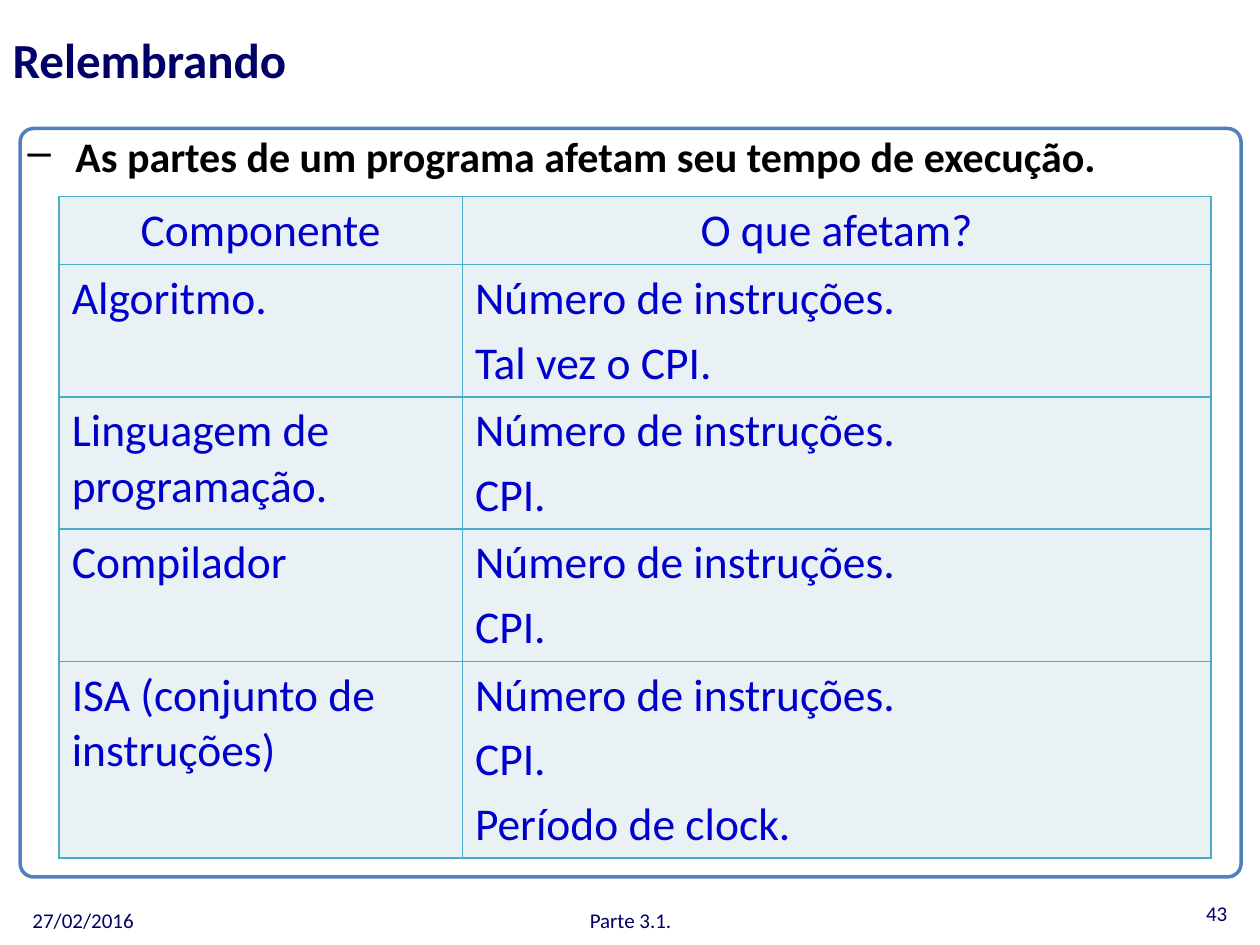
from dataclasses import dataclass

from lxml.etree import SubElement
from pptx import Presentation
from pptx.dml.color import RGBColor
from pptx.enum.shapes import MSO_SHAPE as Shape
from pptx.enum.text import MSO_ANCHOR as Anchor, PP_ALIGN as Align
from pptx.oxml.ns import qn
from pptx.util import Inches, Pt

COLORS = {
    "navy": "000066",
    "black": "000000",
    "table_text": "0000CC",
    "table_fill": "E9F1F5",
    "table_border": "4BACC6",
    "frame": "4F81BD",
}
FONT = "Calibri"
TABLE_SIZE = 26
COLUMN_WIDTHS = (3.2, 5.94)
HEADER_HEIGHT = 0.54
LINE_HEIGHT = 0.51  # each further line in a row


@dataclass(frozen=True)
class Component:
    name: str
    effects: tuple[str, ...]


@dataclass(frozen=True)
class Footer:
    text: str
    box: tuple[float, float, float, float]
    align: Align


INSTRUCTIONS = "Número de instruções."
COMPONENTS = (
    Component("Algoritmo.", (INSTRUCTIONS, "Tal vez o CPI.")),
    Component("Linguagem de programação.", (INSTRUCTIONS, "CPI.")),
    Component("Compilador", (INSTRUCTIONS, "CPI.")),
    Component("ISA (conjunto de instruções)",
              (INSTRUCTIONS, "CPI.", "Período de clock.")),
)
FOOTERS = (
    Footer("43", (7.51, 7.05, 2.33, 0.4), Align.RIGHT),
    Footer("27/02/2016", (0.16, 7.1, 2.33, 0.4), Align.LEFT),
    Footer("Parte 3.1.", (3.42, 7.1, 3.17, 0.4), Align.CENTER),
)


def color(key: str) -> RGBColor:
    return RGBColor.from_string(COLORS[key])


def write(frame, *lines: str, size: float, ink: str, bold: bool = False,
          align: Align = Align.LEFT, anchor: Anchor = Anchor.TOP) -> None:
    """Fill a text frame, one paragraph a line, 20% of the size between them."""
    frame.word_wrap = True
    frame.vertical_anchor = anchor
    for index, line in enumerate(lines):
        paragraph = frame.add_paragraph() if index else frame.paragraphs[0]
        paragraph.alignment = align
        paragraph.space_before = Pt(size * 0.2 if index else 0)
        run = paragraph.add_run()
        run.text = line
        run.font.name, run.font.size, run.font.bold = FONT, Pt(size), bold
        run.font.color.rgb = color(ink)


def add_text(slide, box: tuple[float, ...], text: str, **style):
    frame = slide.shapes.add_textbox(*map(Inches, box)).text_frame
    write(frame, text, **style)
    return frame


def add_frame(slide) -> None:
    frame = slide.shapes.add_shape(
        Shape.ROUNDED_RECTANGLE, *map(Inches, (0.16, 1.02, 9.69, 5.94)))
    frame.adjustments[0] = 0.018
    frame.shadow.inherit = False
    frame.fill.background()
    frame.line.color.rgb = color("frame")
    frame.line.width = Pt(2)


def add_dash(paragraph, indent: float) -> None:
    properties = paragraph._p.get_or_add_pPr()
    properties.set("marL", str(Inches(indent)))
    properties.set("indent", str(-Inches(indent)))
    SubElement(properties, qn("a:buChar")).set("char", "–")


def style_cell(cell) -> None:
    properties = cell._tc.get_or_add_tcPr()
    for side in ("lnL", "lnR", "lnT", "lnB"):
        border = SubElement(properties, qn(f"a:{side}"))
        border.set("w", str(Pt(1)))
        fill = SubElement(border, qn("a:solidFill"))
        SubElement(fill, qn("a:srgbClr")).set("val", COLORS["table_border"])
    cell.fill.solid()
    cell.fill.fore_color.rgb = color("table_fill")


def add_component_table(slide) -> None:
    rows = [(("Componente",), ("O que afetam?",))]
    rows += [((part.name,), part.effects) for part in COMPONENTS]
    heights = [HEADER_HEIGHT + LINE_HEIGHT * (len(effects) - 1)
               for _, effects in rows]
    table = slide.shapes.add_table(
        len(rows), len(COLUMN_WIDTHS), Inches(0.47), Inches(1.56),
        Inches(sum(COLUMN_WIDTHS)), Inches(sum(heights))).table
    for column, width in zip(table.columns, COLUMN_WIDTHS):
        column.width = Inches(width)
    for r, (row, height) in enumerate(zip(rows, heights)):
        table.rows[r].height = Inches(height)
        for c, lines in enumerate(row):
            cell = table.cell(r, c)
            style_cell(cell)
            write(cell.text_frame, *lines, size=TABLE_SIZE, ink="table_text",
                  align=Align.LEFT if r else Align.CENTER)


def main() -> None:
    deck = Presentation()
    deck.slide_width, deck.slide_height = Inches(10), Inches(7.5)
    slide = deck.slides.add_slide(deck.slide_layouts[5])

    add_frame(slide)
    title = slide.shapes.title
    title.left, title.top, title.width, title.height = map(
        Inches, (0, 0, 5.63, 0.94))
    write(title.text_frame, "Relembrando", size=28, ink="navy", bold=True,
          anchor=Anchor.MIDDLE)

    statement = add_text(
        slide, (0.12, 0.99, 9.69, 0.55),
        "As partes de um programa afetam seu tempo de execução.",
        size=24, ink="black", bold=True)
    add_dash(statement.paragraphs[0], 0.38)

    add_component_table(slide)
    for footer in FOOTERS:
        add_text(slide, footer.box, footer.text, size=12, ink="navy",
                 align=footer.align, anchor=Anchor.MIDDLE)
    deck.save("out.pptx")


if __name__ == "__main__":
    main()
